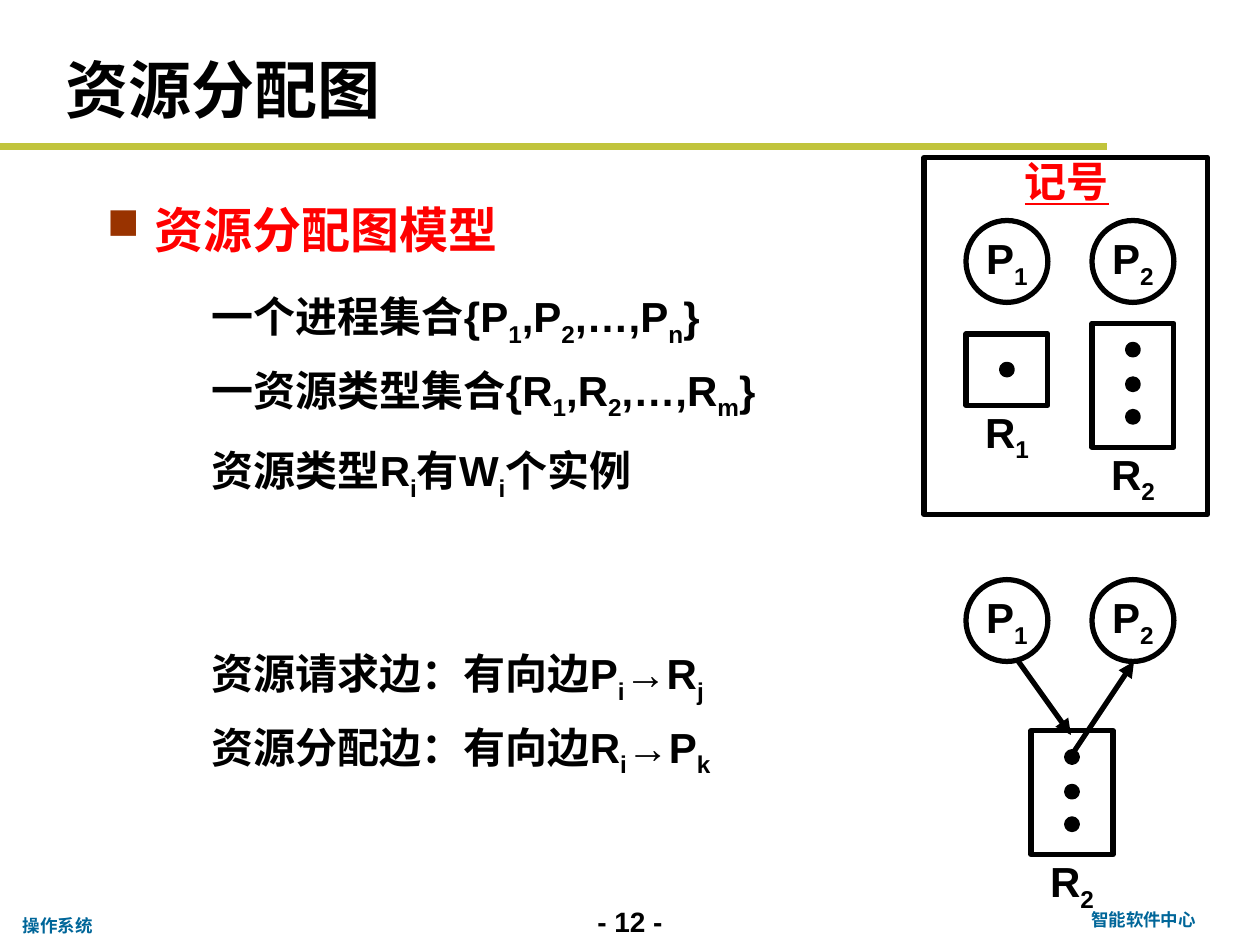
from pptx import Presentation
from pptx.dml.color import RGBColor
from pptx.enum.shapes import MSO_CONNECTOR, MSO_SHAPE
from pptx.enum.text import MSO_ANCHOR, PP_ALIGN
from pptx.oxml.ns import qn
from pptx.util import Inches, Pt
from lxml.etree import SubElement

BLACK = RGBColor(0, 0, 0)
WHITE = RGBColor(255, 255, 255)
RED = RGBColor(255, 0, 0)
BROWN = RGBColor(0x99, 0x33, 0x00)
BLUE = RGBColor(0x00, 0x66, 0x99)
GREEN = RGBColor(0xC1, 0xC4, 0x3C)

CELL = 1 / 12  # the slide is a grid of 120 columns and 90 rows
SIDE = 7.8     # width of each circle and box
DOT = 1


def grid(*cells):
    return [Inches(n * CELL) for n in cells]


class Page:
    base = dict(name="Arial", bold=True, size=Pt(24))

    def __init__(self, deck):
        self.slide = deck.slides.add_slide(deck.slide_layouts[5])
        self.shapes = self.slide.shapes

    def label(self, frame, text, color=BLACK, align=PP_ALIGN.LEFT, wrap=True,
              anchor=MSO_ANCHOR.TOP, space=1.0, **style):
        """Fill a frame; the letter after each underscore is a subscript."""
        frame.word_wrap = wrap
        frame.vertical_anchor = anchor
        para = frame.paragraphs[0]
        para.alignment = align
        para.line_spacing = space
        head, *tails = text.split("_")
        parts = [(head, False)]
        for tail in tails:
            parts += [(tail[0], True), (tail[1:], False)]
        for part, low in parts:
            if not part:
                continue
            run = para.add_run()
            run.text = part
            for key, value in {**self.base, **style}.items():
                setattr(run.font, key, value)
            run.font.color.rgb = color
            if low:
                run._r.get_or_add_rPr().set("baseline", "-25000")
        return para

    def title(self, text, *area):
        shape = self.shapes.title
        shape.left, shape.top, shape.width, shape.height = grid(*area)
        self.label(shape.text_frame, text, anchor=MSO_ANCHOR.MIDDLE, size=Pt(36))

    def text(self, text, *area, **style):
        box = self.shapes.add_textbox(*grid(*area))
        return self.label(box.text_frame, text, **style)

    def item(self, text, row):
        para = self.text(text, 13, row, 100, 7, space=1.2)
        para.level = 1
        para._p.get_or_add_pPr().set("marL", str(Inches(0.5)))

    def topic(self, text, *area):
        para = self.text(text, *area, color=RED, size=Pt(28), space=1.3)
        props = para._p.get_or_add_pPr()
        props.set("marL", str(Inches(0.38)))
        props.set("indent", str(-Inches(0.38)))
        tint = SubElement(props, qn("a:buClr"))
        SubElement(tint, qn("a:srgbClr"), val=str(BROWN))
        SubElement(props, qn("a:buSzPct"), val="90000")
        SubElement(props, qn("a:buChar"), char="■")

    def shape(self, kind, *area, fill=WHITE):
        shape = self.shapes.add_shape(kind, *grid(*area))
        shape.shadow.inherit = False
        shape.fill.solid()
        shape.fill.fore_color.rgb = fill
        shape.line.color.rgb = BLACK
        shape.line.width = Pt(3)
        return shape

    def process(self, text, col, row):
        shape = self.shape(MSO_SHAPE.OVAL, col, row, SIDE, SIDE)
        self.label(shape.text_frame, text, align=PP_ALIGN.CENTER, wrap=False,
                   anchor=MSO_ANCHOR.MIDDLE)

    def source(self, text, col, row, high, dots):
        """Draw a resource box, one dot per instance, and its label below."""
        self.shape(MSO_SHAPE.RECTANGLE, col, row, SIDE, high)
        for down in dots:
            self.shape(MSO_SHAPE.OVAL, col + (SIDE - DOT) / 2,
                       row + down - DOT / 2, DOT, DOT, fill=BLACK)
        self.text(text, col, row + high - 0.5, SIDE, 6,
                  align=PP_ALIGN.CENTER, wrap=False)

    def line(self, *ends, color=BLACK, width=3, arrow=False):
        line = self.shapes.add_connector(MSO_CONNECTOR.STRAIGHT, *grid(*ends))
        line.line.color.rgb = color
        line.line.width = Pt(width)
        if arrow:
            SubElement(line.line._get_or_add_ln(), qn("a:tailEnd"), type="triangle")
        SubElement(line._element.spPr, qn("a:effectLst"))


def main():
    deck = Presentation()
    deck.slide_width, deck.slide_height = grid(120, 90)
    page = Page(deck)
    mid = PP_ALIGN.CENTER
    small = dict(size=Pt(10), color=BLUE)

    page.text("- 12 -", 54, 85.6, 12, 4.4, size=Pt(16), align=mid)
    page.line(0, 14, 105.4, 14, color=GREEN, width=4)
    page.text("智能软件中心", 99, 86, 19.8, 3.2, align=mid, **small)
    page.text("操作系统", 1, 86.6, 9.6, 3.2, wrap=False, **small)

    page.title("资源分配图", 5, 4, 103, 8.8)
    page.topic("资源分配图模型", 9, 16.7, 104, 11.4)
    items = {
        26: "一个进程集合{P_1,P_2,…,P_n}",
        33: "一资源类型集合{R_1,R_2,…,R_m}",
        40.7: "资源类型R_i有W_i个实例",
        60: "资源请求边：有向边P_i→R_j",
        67: "资源分配边：有向边R_i→P_k",
    }
    for row, text in items.items():
        page.item(text, row)

    page.shape(MSO_SHAPE.RECTANGLE, 88, 15, 27, 34)
    page.text("记号", 96.4, 14.2, 10.4, 6, color=RED, align=mid, wrap=False,
              underline=True)
    trio = (2.5, 5.8, 8.9)
    page.source("R_1", 92, 31.8, 6.8, [3.4])
    page.source("R_2", 104, 30.8, 11.8, trio)
    page.source("R_2", 98.2, 69.6, 11.8, trio)
    for row in (21, 55.2):
        page.process("P_1", 92, row)
        page.process("P_2", 104, row)
    page.line(97, 63, 102, 70, arrow=True)
    page.line(102, 72, 108, 63, arrow=True)

    deck.save("out.pptx")


if __name__ == "__main__":
    main()
